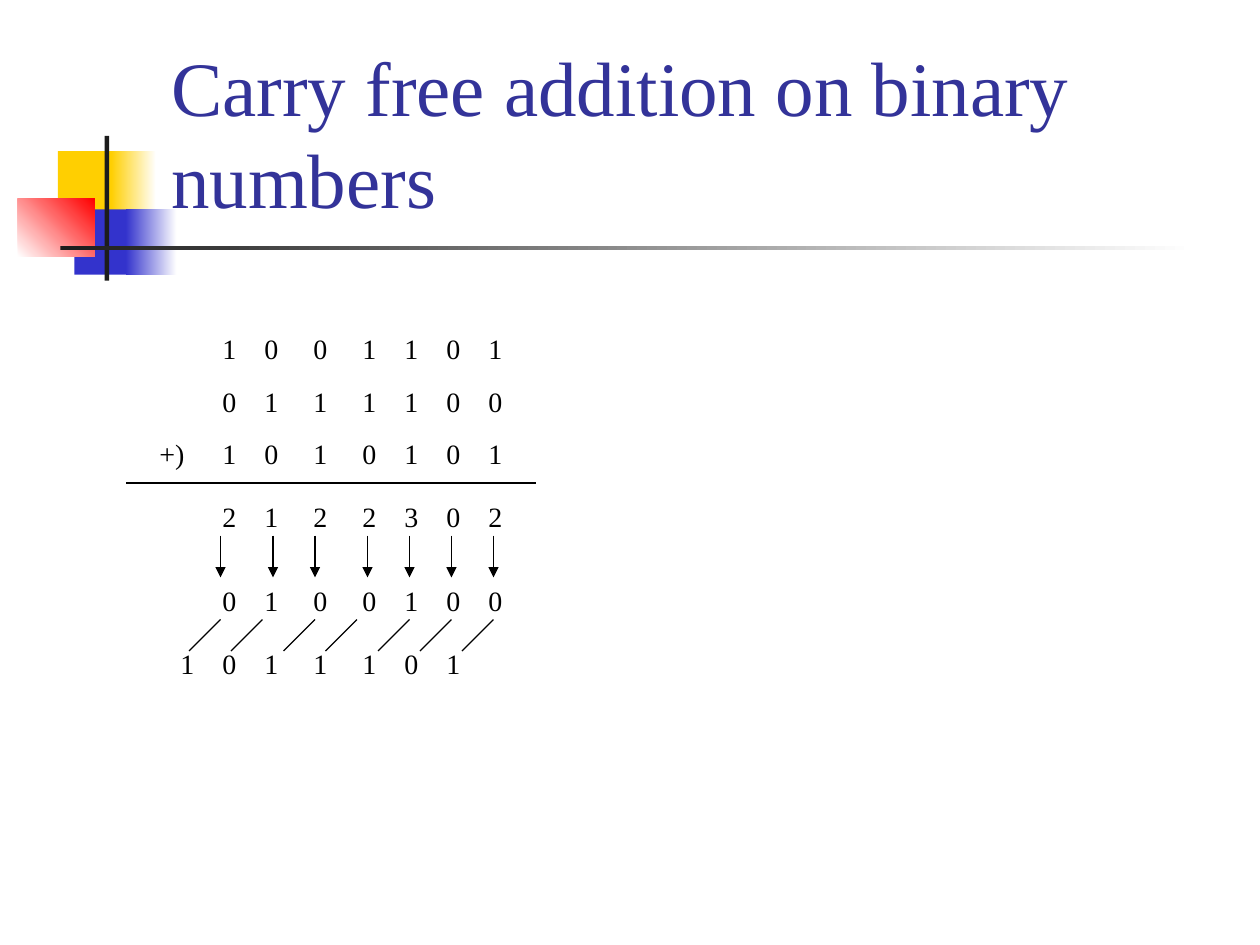
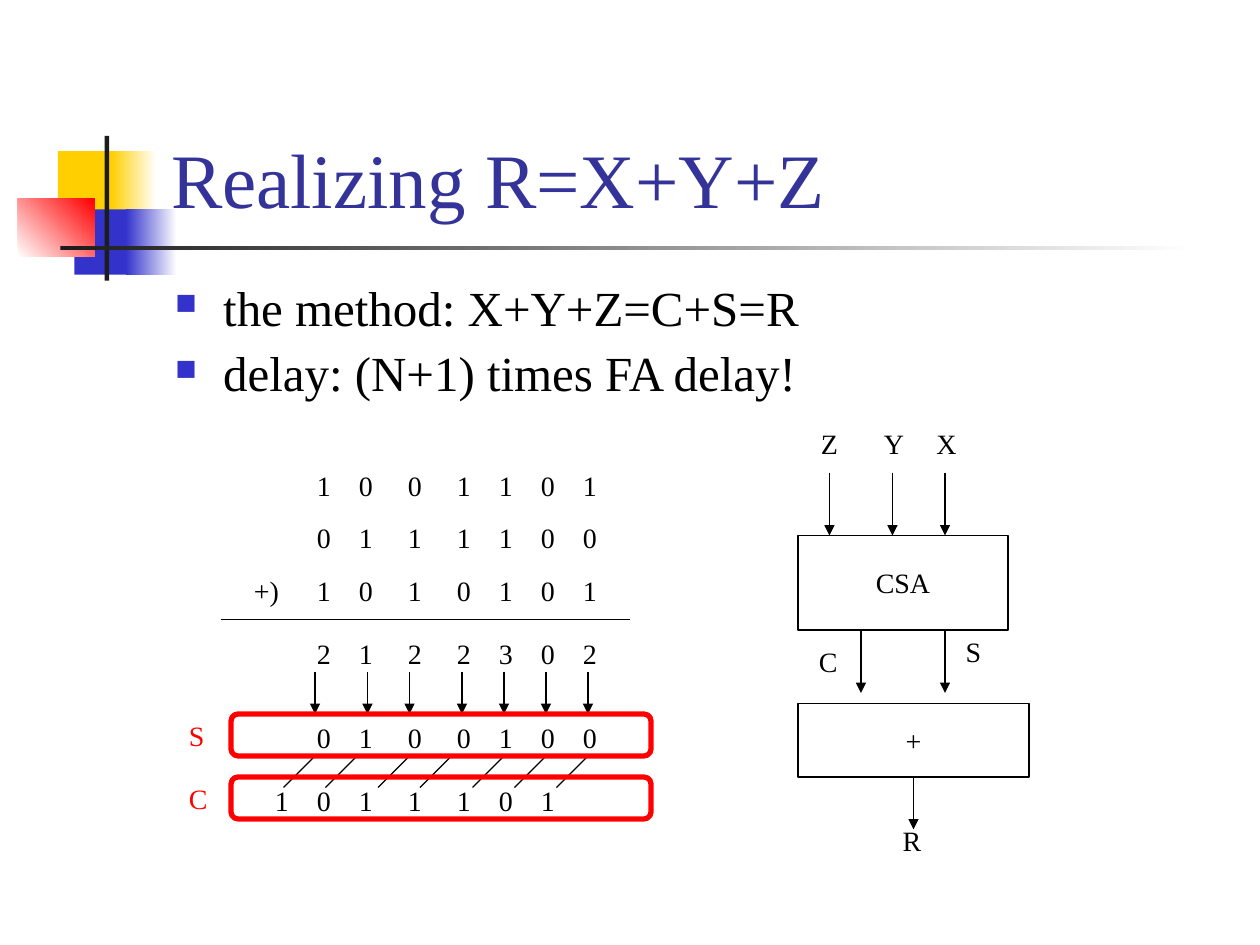
from lxml import etree
from pptx import Presentation
from pptx import util as u
from pptx.dml.color import RGBColor
from pptx.enum import shapes as kinds, text as layout
from pptx.oxml.ns import qn

FONT = "Times New Roman"
BLACK = RGBColor(0x00, 0x00, 0x00)
WHITE = RGBColor(0xFF, 0xFF, 0xFF)
RED = RGBColor(0xFF, 0x00, 0x00)
YELLOW = RGBColor(0xFF, 0xCF, 0x01)
BLUE = RGBColor(0x33, 0x33, 0xCC)
TITLE_BLUE = RGBColor(0x33, 0x33, 0x99)
CHARCOAL = RGBColor(0x1C, 0x1C, 0x1C)

TITLES = ["Carry free addition on binary numbers", "Realizing R=X+Y+Z"]
POINTS = ["the method: X+Y+Z=C+S=R", "delay: (N+1) times FA delay!"]

# left, top, width, height in cm; one colour, or two with a gradient angle
ORNAMENT = [
    (1.17, 3.05, 1.22, 1.32, [YELLOW], 0),
    (2.24, 3.05, 0.91, 1.32, [YELLOW, WHITE], 0),
    (1.5, 4.22, 1.17, 1.32, [BLUE], 0),
    (2.54, 4.22, 1.02, 1.32, [BLUE, WHITE], 0),
    (0.36, 4.01, 1.55, 1.17, [WHITE, RED], 45),
    (2.11, 2.74, 0.09, 2.92, [CHARCOAL], 0),
    (1.22, 4.95, 22.86, 0.09, [CHARCOAL, WHITE], 0),
]

# Everything below is placed in grid steps, twelve to 2.54 cm.
COLUMNS = [0, 4, 8.67, 13.33, 17.33, 21.33, 25.33]
SHIFT = 4  # a carry moves one column to the left
DIGITS_LEFT = 20
ROWS = [(31, "1001101"), (36, "0111100"), (41, "1010101"), (47, "2122302"),
        (55, "0100100")]
CARRIES = (61, "1011101")
SUM_ARROWS = [21, 26, 30, 35, 39, 43, 47]
CARRY_STROKES = [21, 25, 30, 34, 39, 43, 47]

# text, left, top, width, height
BLOCKS = [("CSA", 76, 51, 20, 9), ("+", 76, 67, 22, 7)]
# x, top, bottom
WIRES = [(90, 45, 51), (85, 45, 51), (79, 45, 51), (90, 60, 66), (82, 60, 66),
         (87, 74, 79)]
SIGNALS = [("X", 88, 40), ("Y", 83, 40), ("Z", 77, 40), ("S", 90.8, 59.8),
           ("C", 76.8, 60.8), ("R", 84.8, 77.8)]
# label, top of the frame round that result row
RESULTS = [("S", 68), ("C", 74)]


def grid(*steps):
    return [u.Cm(2.54 * step / 12) for step in steps]


def cm(*lengths):
    return [u.Cm(length) for length in lengths]


def write(paragraph, words, size=16, colour=BLACK):
    run = paragraph.add_run()
    run.text = words
    run.font.name, run.font.size = FONT, u.Pt(size)
    run.font.color.rgb = colour


def add_label(parent, words, left, top, width=4.3, colour=BLACK, stops=()):
    """Add one line of text, with tab stops in grid steps."""
    frame = parent.add_textbox(*grid(left, top, width, 4.4)).text_frame
    frame.word_wrap = True
    line = frame.paragraphs[0]
    write(line, words, colour=colour)
    if stops:
        tabs = etree.SubElement(line._p.get_or_add_pPr(), qn("a:tabLst"))
        for stop in grid(*stops):
            etree.SubElement(tabs, qn("a:tab"), pos=str(stop), algn="l")


def add_digits(parent, digits, left, top, stops):
    add_label(parent, "\t".join(digits), left, top, 29.2, stops=stops)


def add_line(parent, x1, y1, x2, y2, arrow=False):
    line = parent.add_connector(kinds.MSO_CONNECTOR.STRAIGHT,
                                *grid(x1, y1, x2, y2))
    line.line.width = u.Pt(0.75)
    line.line.color.rgb = BLACK
    if arrow:
        etree.SubElement(line.line._get_or_add_ln(), qn("a:tailEnd"),
                         type="triangle")
    etree.SubElement(line._element.spPr, qn("a:effectLst"))


def add_frame(parent, kind, box, colour, weight):
    """Add an unfilled outline."""
    frame = parent.add_shape(kind, *grid(*box))
    frame.shadow.inherit = False
    frame.fill.background()
    frame.line.color.rgb = colour
    frame.line.width = u.Pt(weight)
    return frame


def add_titled_slide(deck, title):
    slide = deck.slides.add_slide(deck.slide_layouts[6])
    for *box, colours, angle in ORNAMENT:
        patch = slide.shapes.add_shape(kinds.MSO_SHAPE.RECTANGLE, *cm(*box))
        patch.shadow.inherit = False
        patch.line.fill.background()
        if len(colours) == 1:
            patch.fill.solid()
            patch.fill.fore_color.rgb = colours[0]
        else:
            patch.fill.gradient()
            patch.fill.gradient_angle = angle
            for stop, colour in zip(patch.fill.gradient_stops, colours):
                stop.color.rgb = colour
    heading = slide.shapes.add_textbox(*cm(3.2, 0.58, 21.64, 4.06)).text_frame
    heading.word_wrap = True
    heading.vertical_anchor = layout.MSO_ANCHOR.BOTTOM
    write(heading.paragraphs[0], title, 44, TITLE_BLUE)
    return slide


def add_points(slide):
    body = slide.shapes.add_textbox(*cm(3.28, 5.61, 21.59, 2.64)).text_frame
    body.word_wrap = True
    indent = u.Cm(0.97)
    for index, point in enumerate(POINTS):
        line = body.add_paragraph() if index else body.paragraphs[0]
        line.line_spacing, line.space_before = 0.9, u.Pt(7)
        props = line._p.get_or_add_pPr()
        props.set("marL", str(indent))
        props.set("indent", str(-indent))
        tint = etree.SubElement(props, qn("a:buClr"))
        etree.SubElement(tint, qn("a:srgbClr"), val=str(BLUE))
        etree.SubElement(props, qn("a:buSzPct"), val="60000")
        etree.SubElement(props, qn("a:buChar"), char="■")
        write(line, point, 28)


def add_addition(slide, dx=0, dy=0):
    """Draw the worked sum, moved by dx and dy grid steps."""
    parent = slide.shapes.add_group_shape().shapes
    left = DIGITS_LEFT + dx
    for top, digits in ROWS:
        add_digits(parent, digits, left, top + dy, COLUMNS[1:])
    top, digits = CARRIES
    add_digits(parent, digits, left - SHIFT, top + dy,
               [column + SHIFT for column in COLUMNS[:-1]])
    add_label(parent, "+)", 14 + dx, 41 + dy, 5)
    add_line(parent, 12 + dx, 46 + dy, 51 + dx, 46 + dy)
    for x in SUM_ARROWS:
        add_line(parent, x + dx, 51 + dy, x + dx, 55 + dy, arrow=True)
    for x in CARRY_STROKES:
        add_line(parent, x + dx, 59 + dy, x + dx - 3, 62 + dy)


def add_circuit(slide):
    parent = slide.shapes.add_group_shape().shapes
    for words, *box in BLOCKS:
        block = add_frame(parent, kinds.MSO_SHAPE.RECTANGLE, box, BLACK, 0.75)
        block.text_frame.vertical_anchor = layout.MSO_ANCHOR.MIDDLE
        line = block.text_frame.paragraphs[0]
        line.alignment = layout.PP_ALIGN.CENTER
        write(line, words)
    for x, top, bottom in WIRES:
        add_line(parent, x, top, x, bottom, arrow=True)
    for signal in SIGNALS:
        add_label(parent, *signal)


def add_results(slide):
    for name, top in RESULTS:
        frame = add_frame(slide.shapes, kinds.MSO_SHAPE.ROUNDED_RECTANGLE,
                          (22, top, 40, 4), RED, 3)
        frame.adjustments[0] = 0.17
        add_label(slide.shapes, name, 16.8, top - 0.2, colour=RED)


def main():
    deck = Presentation()
    deck.slide_width, deck.slide_height = cm(25.4, 19.05)
    addition, realizing = [add_titled_slide(deck, title) for title in TITLES]
    add_addition(addition)
    add_points(realizing)
    add_addition(realizing, dx=9, dy=13)
    add_circuit(realizing)
    add_results(realizing)
    deck.save("out.pptx")


if __name__ == "__main__":
    main()
